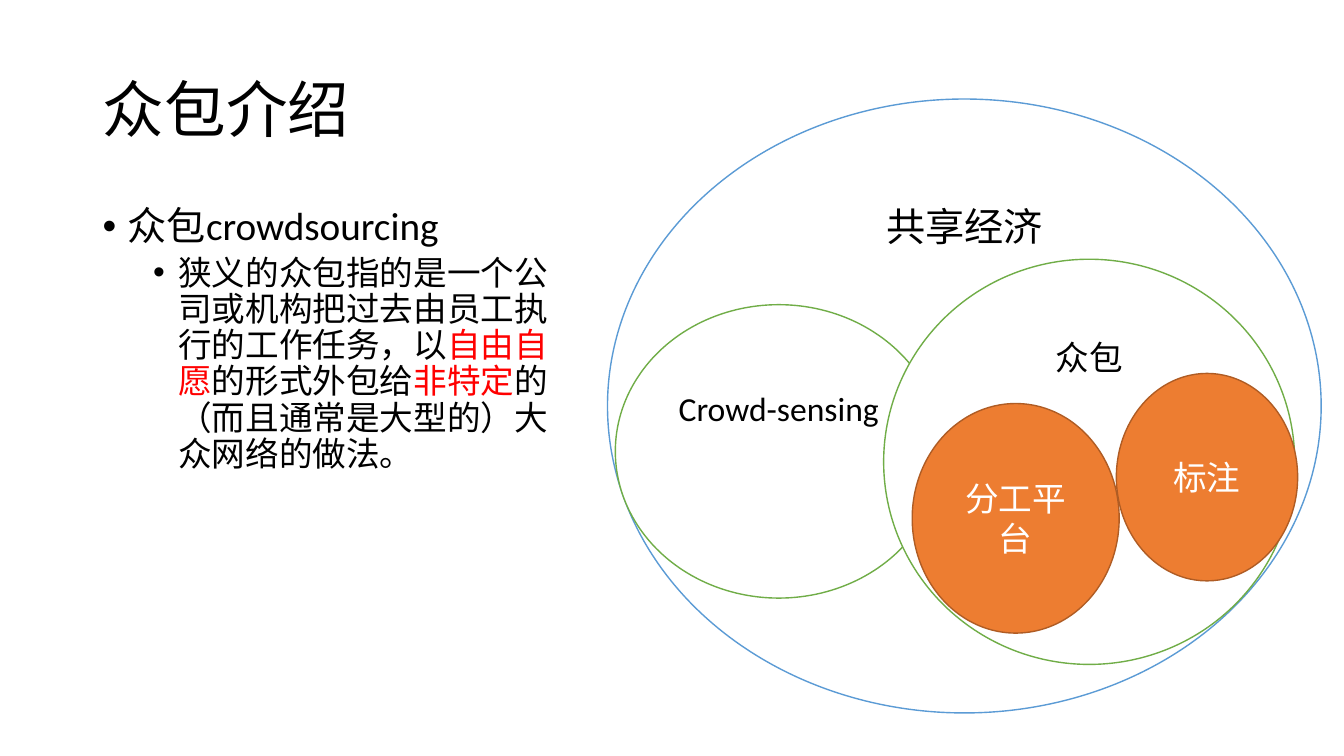
from pptx import Presentation, util as u
from pptx.dml.color import RGBColor
from pptx.enum import shapes, text
from pptx.oxml.ns import qn
from lxml import etree

BLACK, WHITE, RED = "000000", "FFFFFF", "FF0000"
BLUE, GREEN, ORANGE, BROWN = "5B9BD5", "70AD47", "ED7D31", "AF5C24"

TITLE_BOX = (6.9, 5.3, 86.3, 19.3)
DEFINITION_BOX = (6.9, 26.7, 36.6, 63.5)
DIAGRAM_BOX = (45.2, 13.1, 53.1, 81.2)

DEFINITION = [
    (0, 28, [("众包crowdsourcing", BLACK)]),
    (1, 24, [("狭义的众包指的是一个公司或机构把过去由员工执行的工作任务，以", BLACK),
             ("自由自愿", RED),
             ("的形式外包给", BLACK),
             ("非特定", RED),
             ("的（而且通常是大型的）大众网络的做法。", BLACK)]),
]

CIRCLES = [
    ("共享经济", 28, (0, 0, 100, 100), 29.4, (WHITE, BLUE, BLACK)),
    ("Crowd-sensing", 24, (1.1, 33.5, 45.8, 47.8), 7.1, (WHITE, GREEN, BLACK)),
    ("众包", 24, (38.7, 26.1, 57.6, 66), 17.1, (WHITE, GREEN, BLACK)),
    ("标注", 24, (71.3, 44.7, 25.4, 33.8), 0, (ORANGE, BROWN, WHITE)),
    ("分工平台", 24, (42.7, 49.6, 29, 37.4), 0, (ORANGE, BROWN, WHITE)),
]


def color(value):
    """Turn a hex string into a colour."""
    return RGBColor.from_string(value)


def within(box, shares):
    """Return the part of a box given by percentages of its size."""
    left, top, width, height = box
    x, y, w, h = shares
    return (int(left + width * x / 100), int(top + height * y / 100),
            int(width * w / 100), int(height * h / 100))


def set_font(font, size, ink):
    """Set typeface, size and colour."""
    font.name, font.size = "Calibri", u.Pt(size)
    font.color.rgb = color(ink)


def add_bullet(paragraph, level):
    """Give a paragraph a hanging bullet for its level."""
    paragraph.level = level
    properties = paragraph._p.get_or_add_pPr()
    properties.set("marL", str(u.Inches(0.25 + 0.5 * level)))
    properties.set("indent", str(u.Inches(-0.25)))
    etree.SubElement(properties, qn("a:buFont")).set("typeface", "Arial")
    etree.SubElement(properties, qn("a:buChar")).set("char", "•")


def place_title(slide, box):
    """Place and format the slide title."""
    title = slide.shapes.title
    title.left, title.top, title.width, title.height = box
    frame = title.text_frame
    frame.text = "众包介绍"
    frame.auto_size = text.MSO_AUTO_SIZE.NONE
    frame.vertical_anchor = text.MSO_ANCHOR.MIDDLE
    heading = frame.paragraphs[0]
    heading.alignment = text.PP_ALIGN.LEFT
    heading.line_spacing = 0.9
    set_font(heading.runs[0].font, 44, BLACK)


def place_definition(slide, box):
    """Place the bulleted definition of crowdsourcing."""
    frame = slide.shapes.add_textbox(*box).text_frame
    frame.word_wrap = True
    for index, (level, size, pieces) in enumerate(DEFINITION):
        paragraph = frame.add_paragraph() if index else frame.paragraphs[0]
        add_bullet(paragraph, level)
        paragraph.line_spacing = 0.9
        paragraph.space_before = u.Pt(5 * index)
        for words, ink in pieces:
            run = paragraph.add_run()
            run.text = words
            set_font(run.font, size, ink)


def place_diagram(slide, box):
    """Place the nested circles, each label lifted above its centre."""
    for label, size, shares, lift, (fill, outline, ink) in CIRCLES:
        circle = slide.shapes.add_shape(
            shapes.MSO_SHAPE.OVAL, *within(box, shares))
        circle.shadow.inherit = False
        circle.fill.solid()
        circle.fill.fore_color.rgb = color(fill)
        circle.line.color.rgb = color(outline)
        circle.line.width = u.Pt(1)
        frame = circle.text_frame
        frame.text = label
        frame.word_wrap = True
        frame.vertical_anchor = text.MSO_ANCHOR.MIDDLE
        frame.margin_top = 0
        frame.margin_bottom = int(box[3] * 2 * lift / 100)
        caption = frame.paragraphs[0]
        caption.alignment = text.PP_ALIGN.CENTER
        set_font(caption.runs[0].font, size, ink)


def main():
    """Build the slide and save it."""
    deck = Presentation()
    deck.slide_width, deck.slide_height = u.Inches(13.33), u.Inches(7.5)
    page = (0, 0, deck.slide_width, deck.slide_height)
    slide = deck.slides.add_slide(deck.slide_layouts[5])
    place_title(slide, within(page, TITLE_BOX))
    place_definition(slide, within(page, DEFINITION_BOX))
    place_diagram(slide, within(page, DIAGRAM_BOX))
    deck.save("out.pptx")


if __name__ == "__main__":
    main()
